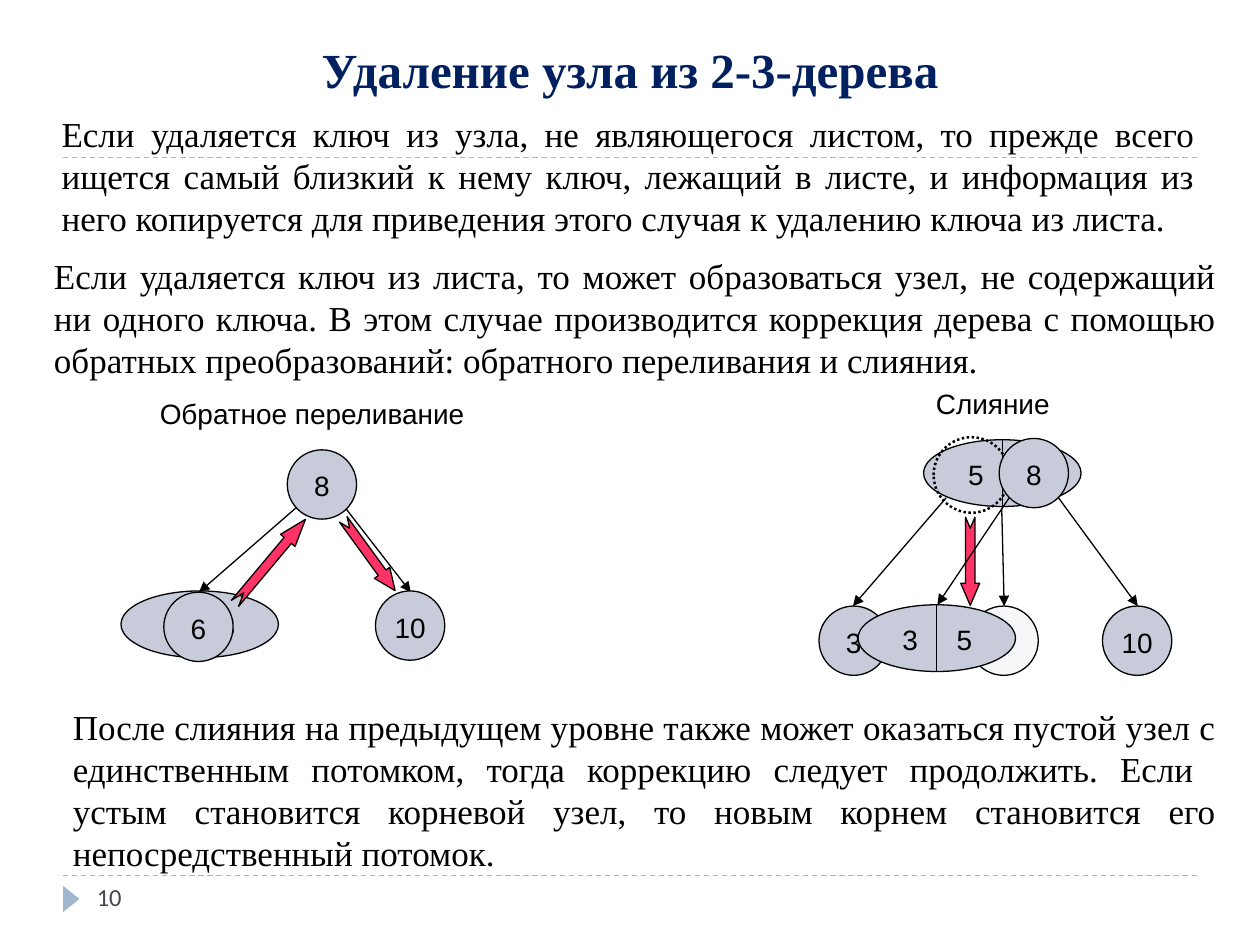
import pptx
import pptx.util
import pptx.dml.color
import pptx.enum.dml
import pptx.enum.shapes
import pptx.enum.text
import pptx.oxml
import pptx.oxml.ns
from pptx.util import Inches

SHAPE = pptx.enum.shapes.MSO_SHAPE
DASH = pptx.enum.dml.MSO_LINE
ALIGN = pptx.enum.text.PP_ALIGN
ANCHOR = pptx.enum.text.MSO_ANCHOR

THEME = {
    "title": ("Times New Roman", 28, "002060"),
    "body": ("Times New Roman", 20, "000000"),
    "label": ("Arial", 16, "000000"),
    "page": ("Calibri", 14, "464653"),
    "rule": "9FB8CD", "ink": "000000", "node": "C7CBDA",
    "ghost": "E3E5ED", "flow": "FF3366",
}
NODE_SIZE, PAIR_SIZE, MARK_SIZE = 0.55, (1.25, 0.53), 0.6
FLOW_HEIGHT = 0.15

# Content
TITLE = "Удаление узла из 2-3-дерева"
PAGE = "10"
PARAGRAPHS = [  # text, box
    ("Если удаляется ключ из узла, не являющегося листом, то прежде всего ищется "
     "самый близкий к нему ключ, лежащий в листе, и информация из него копируется "
     "для приведения этого случая к удалению ключа из листа.", (0.39, 0.83, 9.19, 1.12)),
    ("Если удаляется ключ из листа, то может образоваться узел, не содержащий ни "
     "одного ключа. В этом случае производится коррекция дерева с помощью обратных "
     "преобразований: обратного переливания и слияния.", (0.33, 1.96, 9.42, 1.12)),
    ("После слияния на предыдущем уровне также может оказаться пустой узел с "
     "единственным потомком, тогда коррекцию следует продолжить. Если  устым "
     "становится корневой узел, то новым корнем становится его непосредственный "
     "потомок.", (0.48, 5.54, 9.27, 1.46)),
]
LABELS = [("Обратное переливание", (1.17, 3.08, 2.65, 0.39)),
          ("Слияние", (7.33, 3, 1.11, 0.39))]

# Tree parts from back to front
BORROWING = [
    ("pair", "6", "8", 0.96, 4.69),
    ("edge", 2.35, 4.03, 1.58, 4.7),
    ("edge", 2.74, 4.03, 3.26, 4.7),
    ("flow", 1.71, 4.38, 0.87, 310),
    ("flow", 2.58, 4.33, 0.7, 54),
    ("node", "6", 1.3, 4.7),
    ("node", "8", 2.28, 3.57),
    ("node", "10", 2.98, 4.69),
]
MERGING = [
    ("node", "10", 8.75, 4.81),
    ("node", "3", 6.5, 4.81),
    ("ghost", 7.69, 4.81),
    ("pair", "5", "8", 7.33, 3.49),
    ("edge", 7.51, 3.95, 6.77, 4.81),
    ("edge", 7.95, 4.03, 7.97, 4.81),
    ("edge", 8.4, 3.95, 9.03, 4.81),
    ("flow", 7.35, 4.38, 0.7, 90),
    ("mark", 7.41, 3.47),
    ("pair", "3", "5", 6.81, 4.8),
    ("node", "8", 7.93, 3.48),
    ("edge", 8.01, 3.95, 7.44, 4.8),
]

prs = pptx.Presentation()
prs.slide_width, prs.slide_height = Inches(10), Inches(7.5)
slide = prs.slides.add_slide(prs.slide_layouts[5])


def rgb(value):
    return pptx.dml.color.RGBColor.from_string(value)


def add_xml(parent, tag, **attributes):
    element = pptx.oxml.ns.qn(tag)
    child = parent.makeelement(element, attributes)
    parent.append(child)
    return child


def write(shape, text, style, align=ALIGN.LEFT, insets=(0.1, 0.05, 0.1, 0.05),
          anchor=ANCHOR.TOP, wrap=True, bold=False, tab=None):
    frame = shape.text_frame
    frame.word_wrap, frame.vertical_anchor = wrap, anchor
    (frame.margin_left, frame.margin_top,
     frame.margin_right, frame.margin_bottom) = map(Inches, insets)
    paragraph = frame.paragraphs[0]
    paragraph.text, paragraph.alignment = text, align
    if tab:
        stops = add_xml(paragraph._p.get_or_add_pPr(), "a:tabLst")
        add_xml(stops, "a:tab", pos=str(Inches(tab)), algn="l")
    face, size, colour = THEME[style]
    font = paragraph.font
    font.name, font.size, font.bold = face, pptx.util.Pt(size), bold
    font.color.rgb = rgb(colour)


def textbox(text, box, style, **options):
    write(slide.shapes.add_textbox(*map(Inches, box)), text, style, **options)


def shape_at(kind, box, fill=None, line="ink", width=0.75):
    shape = slide.shapes.add_shape(kind, *map(Inches, box))
    shape.shadow.inherit = False
    if fill:
        shape.fill.solid()
        shape.fill.fore_color.rgb = rgb(THEME[fill])
    else:
        shape.fill.background()
    if line:
        shape.line.color.rgb = rgb(THEME[line])
        shape.line.width = pptx.util.Pt(width)
    else:
        shape.line.fill.background()
    return shape


def straight(x1, y1, x2, y2, colour="ink", dash=None):
    line = slide.shapes.add_connector(
        pptx.enum.shapes.MSO_CONNECTOR.STRAIGHT, *map(Inches, (x1, y1, x2, y2)))
    line.line.color.rgb = rgb(THEME[colour])
    line.line.width = pptx.util.Pt(0.75)
    if dash:
        line.line.dash_style = dash
    add_xml(line._element.spPr, "a:effectLst")
    return line


# Tree parts
def edge(*ends):
    add_xml(straight(*ends).line._get_or_add_ln(), "a:tailEnd", type="triangle")


def node(key, x, y):
    circle = shape_at(SHAPE.OVAL, (x, y, NODE_SIZE, NODE_SIZE), "node")
    write(circle, key, "label", ALIGN.CENTER, (0.1, 0.07, 0.1, 0.05), ANCHOR.MIDDLE, False)


def pair(left_key, right_key, x, y):
    width, height = PAIR_SIZE
    oval = shape_at(SHAPE.OVAL, (x, y, width, height), "node")
    write(oval, f"{left_key}\t{right_key}", "label", insets=(0.17, 0.07, 0.05, 0.05),
          anchor=ANCHOR.MIDDLE, tab=0.43)
    middle = x + width / 2
    straight(middle, y, middle, y + height)


def ghost(x, y):
    circle = shape_at(SHAPE.OVAL, (x, y, NODE_SIZE, NODE_SIZE), "ghost")
    colour = circle._element.spPr.find(".//" + pptx.oxml.ns.qn("a:srgbClr"))
    add_xml(colour, "a:alpha", val="30000")


def mark(x, y):
    ring = shape_at(SHAPE.OVAL, (x, y, MARK_SIZE, MARK_SIZE), width=1.42)
    ring.line.dash_style = DASH.ROUND_DOT


def flow(x, y, length, angle):
    arrow = shape_at(SHAPE.NOTCHED_RIGHT_ARROW, (x, y, length, FLOW_HEIGHT), "flow")
    arrow.rotation = angle
    arrow.adjustments[0] = 0.5
    arrow.adjustments[1] = length / FLOW_HEIGHT / 4


DRAW = {"edge": edge, "node": node, "pair": pair, "ghost": ghost, "mark": mark, "flow": flow}

# Rules and page marker
for y in (6.95, 1.25):
    straight(0.5, y, 9.5, y, "rule", DASH.DASH)
shape_at(SHAPE.ISOSCELES_TRIANGLE, (0.46, 7.07, 0.21, 0.13), "rule", None).rotation = 90
textbox(PAGE, (0.67, 6.95, 2.17, 0.4), "page")

# Title and text
title = slide.shapes.title
title.left, title.top, title.width, title.height = map(Inches, (0.5, 0.25, 9, 0.58))
write(title, TITLE, "title", ALIGN.CENTER, anchor=ANCHOR.BOTTOM, bold=True)
for text, box in PARAGRAPHS:
    textbox(text, box, "body", align=ALIGN.JUSTIFY, insets=(0.1, 0.06, 0.1, 0.05))
for text, box in LABELS:
    textbox(text, box, "label", insets=(0.1, 0.07, 0.1, 0.05), wrap=False)

# Trees
for part, *values in BORROWING + MERGING:
    DRAW[part](*values)

prs.save("out.pptx")
